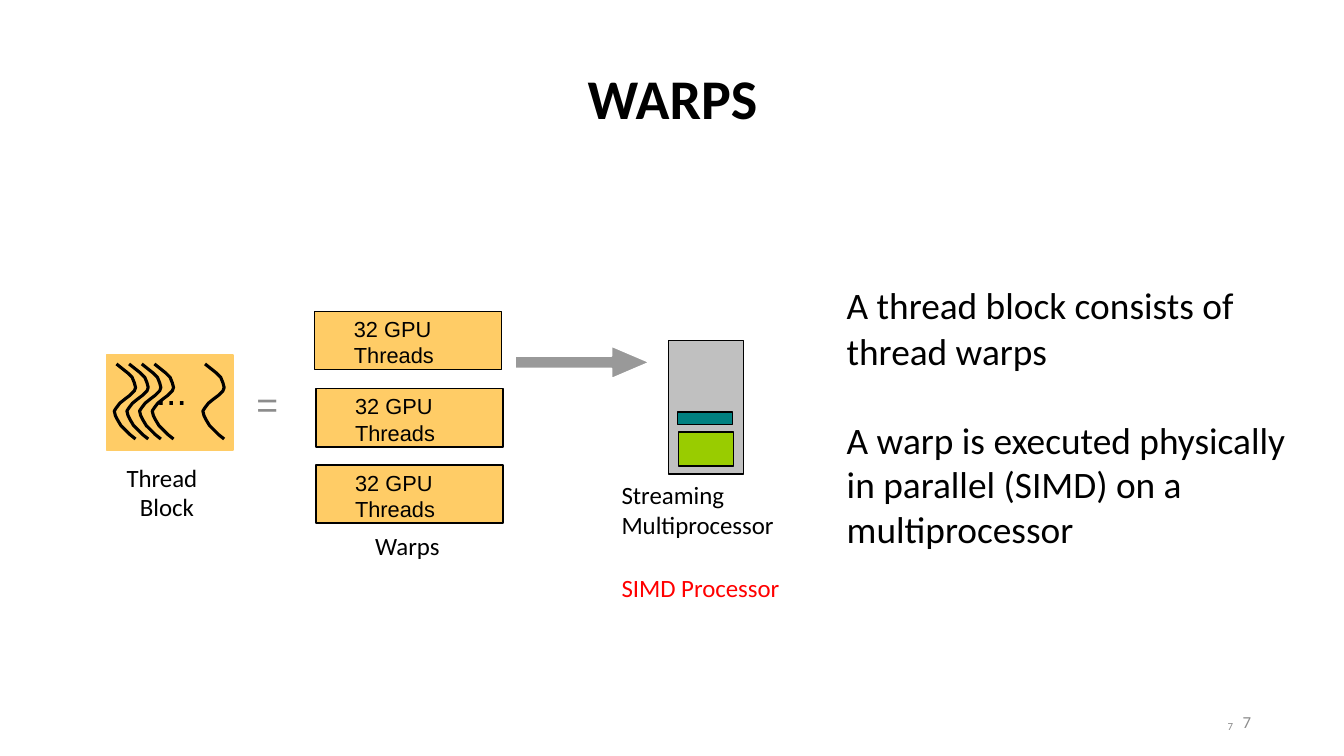
from dataclasses import dataclass

from pptx import Presentation
from pptx.dml.color import RGBColor
from pptx.enum.shapes import MSO_SHAPE as Shape
from pptx.enum.text import MSO_ANCHOR as Anchor, PP_ALIGN as Align
from pptx.util import Inches, Pt


@dataclass(frozen=True)
class Theme:
    body_font: str = "Calibri"
    diagram_font: str = "Arial"
    title_size: float = 36
    body_size: float = 24
    label_size: float = 16
    warp_size: float = 14
    number_size: float = 10.8
    small_size: float = 7
    black: str = "000000"
    white: str = "FFFFFF"
    muted: str = "8C8C8C"
    accent: str = "FF0000"
    thread: str = "FFCC66"
    arrow: str = "999999"
    processor: str = "C0C0C0"
    teal: str = "008080"
    green: str = "99CC00"


THEME = Theme()

# One thread: points relative to the top left of its curve
THREAD_CURVE = [
    (0.02, 0), (0.07, 0.04), (0.12, 0.08), (0.16, 0.12), (0.18, 0.17),
    (0.19, 0.21), (0.18, 0.24), (0.14, 0.28), (0.1, 0.31), (0.05, 0.35),
    (0.02, 0.39), (0, 0.42), (0.01, 0.46), (0.03, 0.5), (0.06, 0.55),
    (0.1, 0.59), (0.14, 0.63), (0.19, 0.67),
]


def color(value):
    return RGBColor.from_string(value)


def fill_text(shape, lines, size, font=THEME.body_font, ink=THEME.black,
              align=Align.LEFT, anchor=Anchor.TOP, top=0.01, indent=0.01,
              wrap=True, spacing=None):
    frame = shape.text_frame
    frame.word_wrap = wrap
    frame.vertical_anchor = anchor
    frame.margin_left = frame.margin_right = frame.margin_bottom = 0
    frame.margin_top = Inches(top)
    for index, line in enumerate(lines):
        paragraph = frame.add_paragraph() if index else frame.paragraphs[0]
        paragraph.text = line
        paragraph.alignment = align
        paragraph.line_spacing = spacing
        paragraph._p.get_or_add_pPr().set("marL", str(Inches(indent)))
        paragraph.font.name = font
        paragraph.font.size = Pt(size)
        paragraph.font.color.rgb = color(ink)
    return frame.paragraphs


def add_text(slide, box, lines, size, **style):
    shape = slide.shapes.add_textbox(*map(Inches, box))
    return fill_text(shape, lines, size, **style)


def add_block(slide, box, fill, line=THEME.black, kind=Shape.RECTANGLE):
    shape = slide.shapes.add_shape(kind, *map(Inches, box))
    shape.shadow.inherit = False
    shape.fill.solid()
    shape.fill.fore_color.rgb = color(fill)
    shape.line.color.rgb = color(line)
    shape.line.width = Pt(1)
    return shape


def add_thread(slide, left, top):
    points = [(Inches(left + x), Inches(top + y)) for x, y in THREAD_CURVE]
    builder = slide.shapes.build_freeform(*points[0])
    builder.add_line_segments(points[1:], close=False)
    shape = builder.convert_to_shape()
    shape.shadow.inherit = False
    shape.fill.background()
    shape.line.color.rgb = color(THEME.black)
    shape.line.width = Pt(2)


def add_thread_block(slide):
    add_block(slide, (0.95, 3.17, 1.13, 0.85), THEME.thread, THEME.thread)
    for step in (0, 1, 2, 3, 7):
        add_thread(slide, 1.02 + step * 0.113, 3.25)
    add_text(slide, (0.94, 3.16, 1.15, 0.86), ["..."], THEME.body_size,
             font=THEME.diagram_font, align=Align.CENTER, top=0.13, indent=0.03)
    label, = add_text(slide, (1.12, 4.1, 0.73, 0.56), ["Thread Block"],
                      THEME.label_size, top=0.03, indent=0.13, spacing=Pt(19))
    label._p.get_or_add_pPr().set("indent", str(Inches(-0.12)))
    add_text(slide, (2.28, 3.39, 0.22, 0.43), ["="], THEME.body_size,
             font=THEME.diagram_font, ink=THEME.muted)


def add_warps(slide):
    for left, top in ((2.81, 2.78), (2.82, 3.47), (2.82, 4.15)):
        warp = add_block(slide, (left, top, 1.67, 0.52), THEME.thread)
        fill_text(warp, ["32 GPU Threads"], THEME.warp_size,
                  font=THEME.diagram_font, top=0.04, indent=0.35)
    add_text(slide, (3.34, 4.73, 0.62, 0.29), ["Warps"], THEME.label_size)


def add_multiprocessor(slide):
    arrow = add_block(slide, (4.6, 3.09, 1.2, 0.29), THEME.arrow, THEME.white,
                      Shape.RIGHT_ARROW)
    arrow.adjustments[0] = 0.38
    arrow.adjustments[1] = 1.17
    add_block(slide, (5.97, 3.04, 0.67, 1.19), THEME.processor)
    add_block(slide, (6.05, 3.68, 0.49, 0.11), THEME.teal)
    add_block(slide, (6.06, 3.86, 0.49, 0.3), THEME.green)
    _, simd = add_text(slide, (5.54, 4.27, 1.47, 1.12),
                       ["Streaming Multiprocessor", "SIMD Processor"],
                       THEME.label_size)
    simd.space_before = Pt(21.5)
    simd.font.color.rgb = color(THEME.accent)


def main():
    presentation = Presentation()
    presentation.slide_width = Inches(12)
    presentation.slide_height = Inches(6.75)
    slide = presentation.slides.add_slide(presentation.slide_layouts[6])

    # Title
    title, = add_text(slide, (5.22, 0.55, 1.56, 0.62), ["WARPS"],
                      THEME.title_size, align=Align.CENTER,
                      anchor=Anchor.MIDDLE, wrap=False)
    title.font.bold = True

    # Diagram, left to right
    add_thread_block(slide)
    add_warps(slide)
    add_multiprocessor(slide)

    # Explanation
    add_text(slide, (7.55, 2.51, 3.86, 0.83),
             ["A thread block consists of thread warps"],
             THEME.body_size, spacing=1.01)
    add_text(slide, (7.55, 3.72, 4.01, 1.22),
             ["A warp is executed physically in parallel (SIMD) on a multiprocessor"],
             THEME.body_size, top=0.02, spacing=0.99)

    # Slide numbers
    add_text(slide, (10.96, 6.43, 0.05, 0.11), ["7"], THEME.small_size,
             ink=THEME.muted, top=0, indent=0, wrap=False, spacing=Pt(8))
    add_text(slide, (8.47, 6.26, 2.7, 0.36), ["7"], THEME.number_size,
             ink=THEME.muted, align=Align.RIGHT, anchor=Anchor.MIDDLE,
             top=0, indent=0.04, spacing=Pt(14.2))

    presentation.save("out.pptx")


if __name__ == "__main__":
    main()
